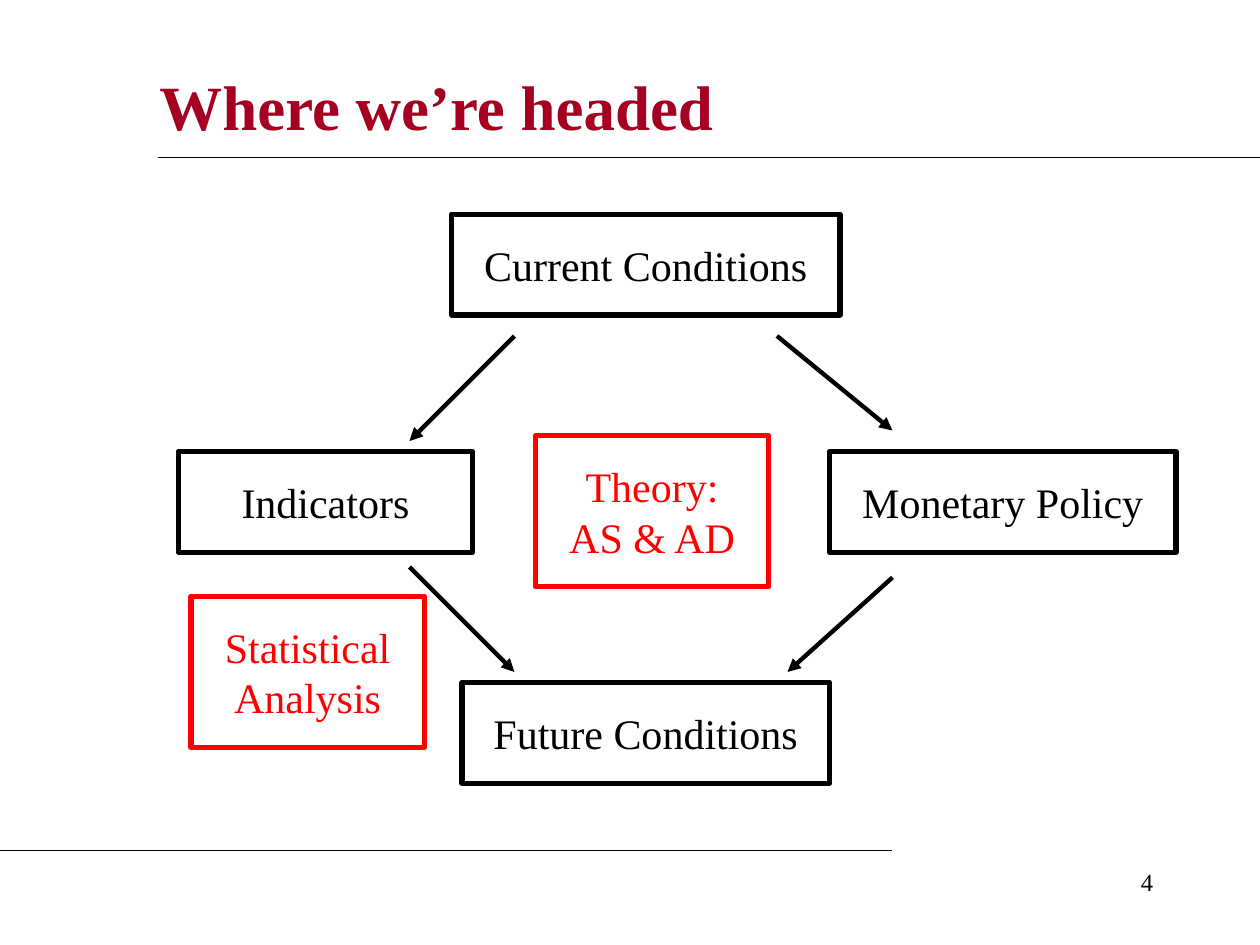
from lxml.etree import SubElement
from pptx import Presentation
from pptx.dml.color import RGBColor
from pptx.enum.shapes import MSO_CONNECTOR as Connector, MSO_SHAPE as Shape
from pptx.enum.text import MSO_ANCHOR as Anchor, PP_ALIGN as Align
from pptx.oxml.ns import qn
from pptx.util import Inches, Pt

FONT = "Times New Roman"
BLACK, RED, CRIMSON = "000000", "FF0000", "A50021"
UNIT = 1 / 12
SINGLE, DOUBLE = 9.6, 14.4

TITLE = ("Where we’re headed", (14, 5, 97, 10))
NUMBER = ("4", (86, 82, 25, 6))
BOXES = [
    ("Indicators", (17, 43, 28, SINGLE), BLACK),
    ("Monetary Policy", (79, 43, 33, SINGLE), BLACK),
    ("Current Conditions", (43, 20.4, 37, SINGLE), BLACK),
    ("Theory: AS & AD", (51, 41.5, 22.2, DOUBLE), RED),
    ("Future Conditions", (44, 65, 35, SINGLE), BLACK),
    ("Statistical Analysis", (18.2, 56.8, 22.2, DOUBLE), RED),
]
RULES = [(15, 15, 120, 15), (0, 81, 85, 81)]
ARROWS = [(49, 32, 39, 42), (74, 32, 85, 41), (85, 55, 75, 64), (39, 54, 49, 64)]


def color(value):
    return RGBColor.from_string(value)


def grid(cells):
    return [Inches(cell * UNIT) for cell in cells]


def write(shape, text, size, fill, align, anchor, bold=False, margins=(0.1, 0.05)):
    frame = shape.text_frame
    frame.word_wrap = True
    frame.vertical_anchor = anchor
    frame.margin_left = frame.margin_right = Inches(margins[0])
    frame.margin_top = frame.margin_bottom = Inches(margins[1])
    frame.text = text
    paragraph = frame.paragraphs[0]
    paragraph.alignment = align
    font = paragraph.runs[0].font
    font.name, font.size, font.bold = FONT, Pt(size), bold
    font.color.rgb = color(fill)


def add_box(slide, text, cells, tint):
    shape = slide.shapes.add_shape(Shape.RECTANGLE, *grid(cells))
    shape.shadow.inherit = False
    shape.fill.background()
    shape.line.color.rgb = color(tint)
    shape.line.width = Pt(3)
    write(shape, text, 24, tint, Align.CENTER, Anchor.MIDDLE, margins=(0.2, 0.2))


def add_line(slide, ends, width, arrow=False):
    connector = slide.shapes.add_connector(Connector.STRAIGHT, *grid(ends))
    connector.line.color.rgb = color(BLACK)
    connector.line.width = Pt(width)
    if arrow:
        SubElement(connector.line._get_or_add_ln(), qn("a:tailEnd"), type="triangle")
    SubElement(connector._element.spPr, qn("a:effectLst"))


def main():
    """Build the slide that maps current conditions to future conditions."""
    presentation = Presentation()
    presentation.slide_width, presentation.slide_height = Inches(10), Inches(7.5)
    slide = presentation.slides.add_slide(presentation.slide_layouts[6])

    text, cells = TITLE
    title = slide.shapes.add_textbox(*grid(cells))
    write(title, text, 36, CRIMSON, Align.LEFT, Anchor.MIDDLE, bold=True)
    for ends in RULES:
        add_line(slide, ends, 0.75)
    for box in BOXES:
        add_box(slide, *box)
    for ends in ARROWS:
        add_line(slide, ends, 2.5, arrow=True)
    text, cells = NUMBER
    number = slide.shapes.add_textbox(*grid(cells))
    write(number, text, 14, BLACK, Align.RIGHT, Anchor.TOP)

    presentation.save("out.pptx")


if __name__ == "__main__":
    main()
